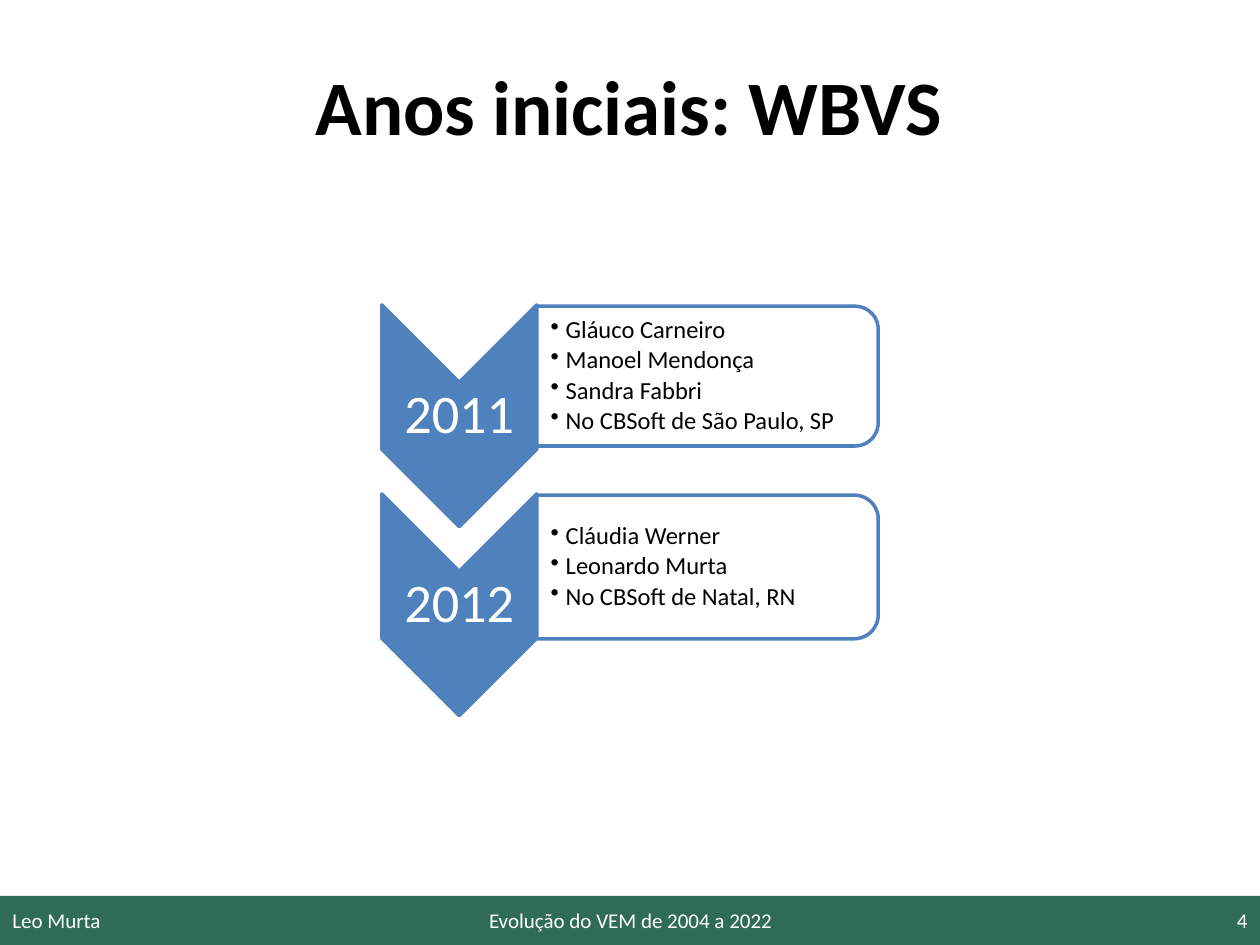
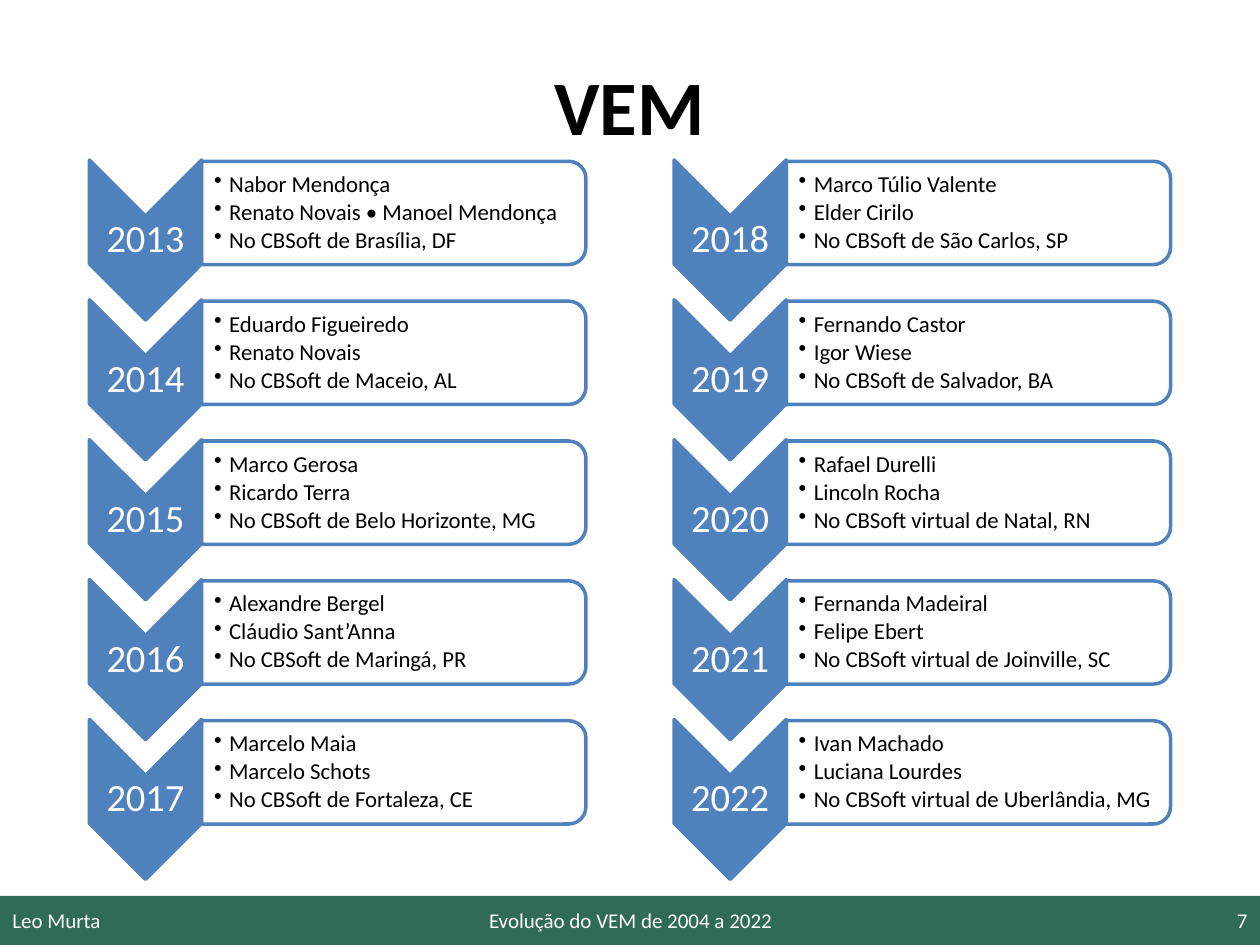
"""Builds two slides of yearly chevron timelines."""
from lxml.etree import SubElement
from pptx import Presentation
from pptx.dml.color import RGBColor
from pptx.enum.shapes import MSO_SHAPE as Preset
from pptx.enum.text import MSO_ANCHOR as Anchor, PP_ALIGN as Align
from pptx.oxml.ns import qn
from pptx.util import Inches, Pt

WIDTH, HEIGHT = 10, 7.5
GREEN, BLUE, WHITE, BLACK = "306B55", "4F81BD", "FFFFFF", "000000"
FONT = "Calibri"
AUTHOR, TALK = "Leo Murta", "Evolução do VEM de 2004 a 2022"

EARLY_YEARS = [
    ("2011", ["Gláuco Carneiro", "Manoel Mendonça", "Sandra Fabbri",
              "No CBSoft de São Paulo, SP"]),
    ("2012", ["Cláudia Werner", "Leonardo Murta", "No CBSoft de Natal, RN"]),
]
FIRST_HALF = [
    ("2013", ["Nabor Mendonça", "Renato Novais • Manoel Mendonça", "No CBSoft de Brasília, DF"]),
    ("2014", ["Eduardo Figueiredo", "Renato Novais", "No CBSoft de Maceio, AL"]),
    ("2015", ["Marco Gerosa", "Ricardo Terra", "No CBSoft de Belo Horizonte, MG"]),
    ("2016", ["Alexandre Bergel", "Cláudio Sant’Anna", "No CBSoft de Maringá, PR"]),
    ("2017", ["Marcelo Maia", "Marcelo Schots", "No CBSoft de Fortaleza, CE"]),
]
SECOND_HALF = [
    ("2018", ["Marco Túlio Valente", "Elder Cirilo", "No CBSoft de São Carlos, SP"]),
    ("2019", ["Fernando Castor", "Igor Wiese", "No CBSoft de Salvador, BA"]),
    ("2020", ["Rafael Durelli", "Lincoln Rocha", "No CBSoft virtual de Natal, RN"]),
    ("2021", ["Fernanda Madeiral", "Felipe Ebert", "No CBSoft virtual de Joinville, SC"]),
    ("2022", ["Ivan Machado", "Luciana Lourdes", "No CBSoft virtual de Uberlândia, MG"]),
]

LARGE = dict(top=2.42, step=1.5, chevron=(1.23, 1.76), card_width=2.71,
             card_heights=[1.11, 1.14], year_size=31, list_size=14, indent=0.11)
SMALL = dict(top=1.27, step=1.11, chevron=(0.89, 1.27), card_width=3.05,
             card_heights=[0.82] * 5, year_size=22, list_size=13, indent=0.1)

SLIDES = [
    ("Anos iniciais: WBVS", "4", LARGE, [(3.03, EARLY_YEARS)]),
    ("VEM", "7", SMALL, [(0.71, FIRST_HALF), (5.35, SECOND_HALF)]),
]


def color(value):
    return RGBColor.from_string(value)


def inches(*lengths):
    return [Inches(length) for length in lengths]


def add_run(para, text, size, ink, bold=False):
    span = para.add_run()
    span.text = text
    span.font.name, span.font.size, span.font.bold = FONT, Pt(size), bold
    span.font.color.rgb = color(ink)


def add_preset(shapes, preset, place, fill, line=None, turned=False):
    left, top, width, height = place
    if turned:
        shift = (width - height) / 2
        left, top, width, height = left + shift, top - shift, height, width
    shape = shapes.add_shape(preset, *inches(left, top, width, height))
    shape.rotation = 90 if turned else 0
    shape.shadow.inherit = False
    shape.fill.solid()
    shape.fill.fore_color.rgb = color(fill)
    if line:
        shape.line.color.rgb = color(line)
        shape.line.width = Pt(2)
    else:
        shape.line.fill.background()
    return shape


def add_text(shapes, place, lines, size, ink, align=Align.LEFT, insets=(0.1, 0.05, 0.1, 0.05)):
    frame = shapes.add_textbox(*inches(*place)).text_frame
    frame.word_wrap = True
    frame.vertical_anchor = Anchor.MIDDLE
    (frame.margin_left, frame.margin_top,
     frame.margin_right, frame.margin_bottom) = inches(*insets)
    for index, line in enumerate(lines):
        para = frame.add_paragraph() if index else frame.paragraphs[0]
        para.alignment = align
        add_run(para, line, size, ink)
    return frame


def add_bullets(frame):
    for para in frame.paragraphs:
        para.level = 1
        para.line_spacing = 0.9
        props = para._p.get_or_add_pPr()
        props.set("marL", str(Inches(0.12)))
        props.set("indent", str(-Inches(0.12)))
        after = SubElement(props, qn("a:spcAft"))
        SubElement(after, qn("a:spcPct")).set("val", "15000")
        SubElement(props, qn("a:buChar")).set("char", "•")


def add_timeline(slide, left, stages, style):
    shapes = slide.shapes.add_group_shape().shapes
    width, height = style["chevron"]
    card_left = left + width
    for row, (year, lines) in enumerate(stages):
        top = style["top"] + row * style["step"]
        add_preset(shapes, Preset.CHEVRON, (left, top, width, height), BLUE, BLUE, turned=True)
        year_frame = add_text(shapes, (left, top + width / 2, width, height - width), [year],
                              style["year_size"], WHITE, Align.CENTER, [0.02] * 4)
        year_frame.paragraphs[0].line_spacing = 0.9

        card_top, card_height = top + 0.01, style["card_heights"][row]
        card = add_preset(shapes, Preset.ROUND_2_SAME_RECTANGLE,
                          (card_left, card_top, style["card_width"], card_height),
                          WHITE, BLUE, turned=True)
        fill = card.element.spPr.find(qn("a:solidFill"))
        SubElement(fill[0], qn("a:alpha")).set("val", "90000")
        pad = card_height * 0.05
        add_bullets(add_text(
            shapes, (card_left, card_top + pad, style["card_width"] - pad, card_height - 2 * pad),
            lines, style["list_size"], BLACK, insets=(style["indent"], 0.01, 0.01, 0.01)))


def add_footer(slide, number):
    add_preset(slide.shapes, Preset.RECTANGLE, (0, 7.11, WIDTH, HEIGHT - 7.11), GREEN)
    side, middle = 2.33, 3.17
    parts = [(0, side, AUTHOR, Align.LEFT),
             (3.42, middle, TALK, Align.CENTER),
             (WIDTH - side, side, number, Align.RIGHT)]
    for left, width, text, align in parts:
        add_text(slide.shapes, (left, 7.1, width, 0.4), [text], 12, WHITE, align)


def set_title(slide, text):
    title = slide.shapes.title
    title.left, title.top, title.width, title.height = inches(1, 0.21, 7.99, 1.25)
    title.text_frame.vertical_anchor = Anchor.MIDDLE
    para = title.text_frame.paragraphs[0]
    para.alignment = Align.CENTER
    add_run(para, text, 44, BLACK, bold=True)


def main():
    deck = Presentation()
    deck.slide_width, deck.slide_height = inches(WIDTH, HEIGHT)
    for title, number, style, timelines in SLIDES:
        page = deck.slides.add_slide(deck.slide_layouts.get_by_name("Title Only"))
        set_title(page, title)
        add_footer(page, number)
        for left, stages in timelines:
            add_timeline(page, left, stages, style)
    deck.save("out.pptx")


if __name__ == "__main__":
    main()
